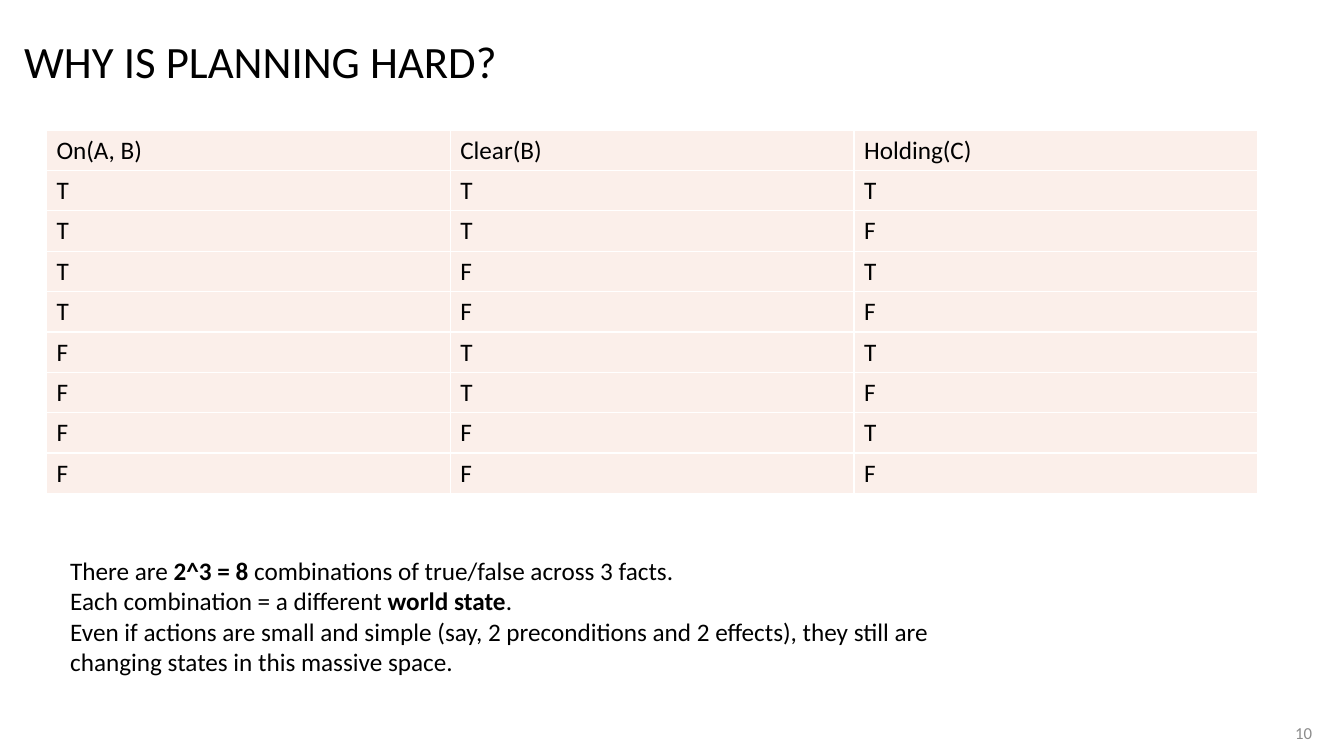
from dataclasses import dataclass
from itertools import product

from lxml import etree
from pptx import Presentation
from pptx.dml.color import RGBColor
from pptx.enum.text import MSO_ANCHOR, PP_ALIGN
from pptx.oxml.ns import qn
from pptx.util import Cm, Pt

LEFT, RIGHT = PP_ALIGN.LEFT, PP_ALIGN.RIGHT
TOP, MIDDLE = MSO_ANCHOR.TOP, MSO_ANCHOR.MIDDLE


@dataclass(frozen=True)
class Theme:
    """Colours, font and type sizes of the slide."""
    font: str = "Calibri"
    ink: str = "000000"
    muted: str = "8C8C8C"
    cell: str = "FBEFEA"
    rule: str = "FFFFFF"
    title_size: int = 32
    body_size: int = 18
    number_size: int = 12
    rule_width: int = 1


THEME = Theme()
FACTS = ("On(A, B)", "Clear(B)", "Holding(C)")
EXPLANATION = (
    (("There are ", False), ("2^3 = 8", True),
     (" combinations of true/false across 3 facts.", False)),
    (("Each combination = a different ", False), ("world state", True), (".", False)),
    (("Even if actions are small and simple (say, 2 preconditions and 2 effects), "
      "they still are changing states in this massive space.", False),),
)


def write(frame, paragraphs, size=THEME.body_size, color=THEME.ink,
          align=LEFT, anchor=TOP, line_spacing=None, space_before=None):
    """Fill a text frame with paragraphs made of (text, bold) pairs."""
    frame.word_wrap = True
    frame.vertical_anchor = anchor
    for index, pieces in enumerate(paragraphs):
        paragraph = frame.add_paragraph() if index else frame.paragraphs[0]
        paragraph.alignment = align
        paragraph.line_spacing = line_spacing
        paragraph.space_before = space_before
        for text, bold in pieces:
            run = paragraph.add_run()
            run.text = text
            run.font.name = THEME.font
            run.font.size = Pt(size)
            run.font.bold = bold
            run.font.color.rgb = RGBColor.from_string(color)


def add_text(slide, box, paragraphs, **style):
    """Place formatted text in a box."""
    write(slide.shapes.add_textbox(*box).text_frame, paragraphs, **style)


def rule_cell(cell):
    """Draw thin rules on the four sides of a table cell."""
    properties = cell._tc.get_or_add_tcPr()
    for position, side in enumerate(("a:lnL", "a:lnR", "a:lnT", "a:lnB")):
        line = etree.Element(qn(side), w=str(Pt(THEME.rule_width)))
        fill = etree.SubElement(line, qn("a:solidFill"))
        etree.SubElement(fill, qn("a:srgbClr"), val=THEME.rule)
        properties.insert(position, line)


def add_truth_table(slide, box, facts):
    """List every true/false combination of the facts."""
    rows = [facts, *product("TF", repeat=len(facts))]
    table = slide.shapes.add_table(len(rows), len(facts), *box).table
    table.first_row = False
    table.horz_banding = False
    for row_index, values in enumerate(rows):
        for column_index, value in enumerate(values):
            cell = table.cell(row_index, column_index)
            cell.fill.solid()
            cell.fill.fore_color.rgb = RGBColor.from_string(THEME.cell)
            cell.vertical_anchor = MIDDLE
            rule_cell(cell)
            write(cell.text_frame, [[(value, False)]], anchor=MIDDLE)


def build_planning_slide(deck):
    """Compose the slide on why planning is hard."""
    slide = deck.slides.add_slide(deck.slide_layouts[6])
    add_text(slide, (Cm(32.08), Cm(17.96), Cm(1.24), Cm(1.02)), [[("10", False)]],
             size=THEME.number_size, color=THEME.muted, align=RIGHT, anchor=MIDDLE)
    add_text(slide, (Cm(0.36), Cm(0.05), Cm(16.38), Cm(2.46)),
             [[("WHY IS PLANNING HARD?", False)]],
             size=THEME.title_size, line_spacing=1.5, space_before=Pt(10))
    add_truth_table(slide, (Cm(1.17), Cm(3.28), Cm(30.53), Cm(9.14)), FACTS)
    add_text(slide, (Cm(1.52), Cm(13.87), Cm(23.83), Cm(3.33)), EXPLANATION)


def main():
    """Create and save the deck."""
    deck = Presentation()
    deck.slide_width, deck.slide_height = Cm(33.87), Cm(19.05)
    build_planning_slide(deck)
    deck.save("out.pptx")


if __name__ == "__main__":
    main()
